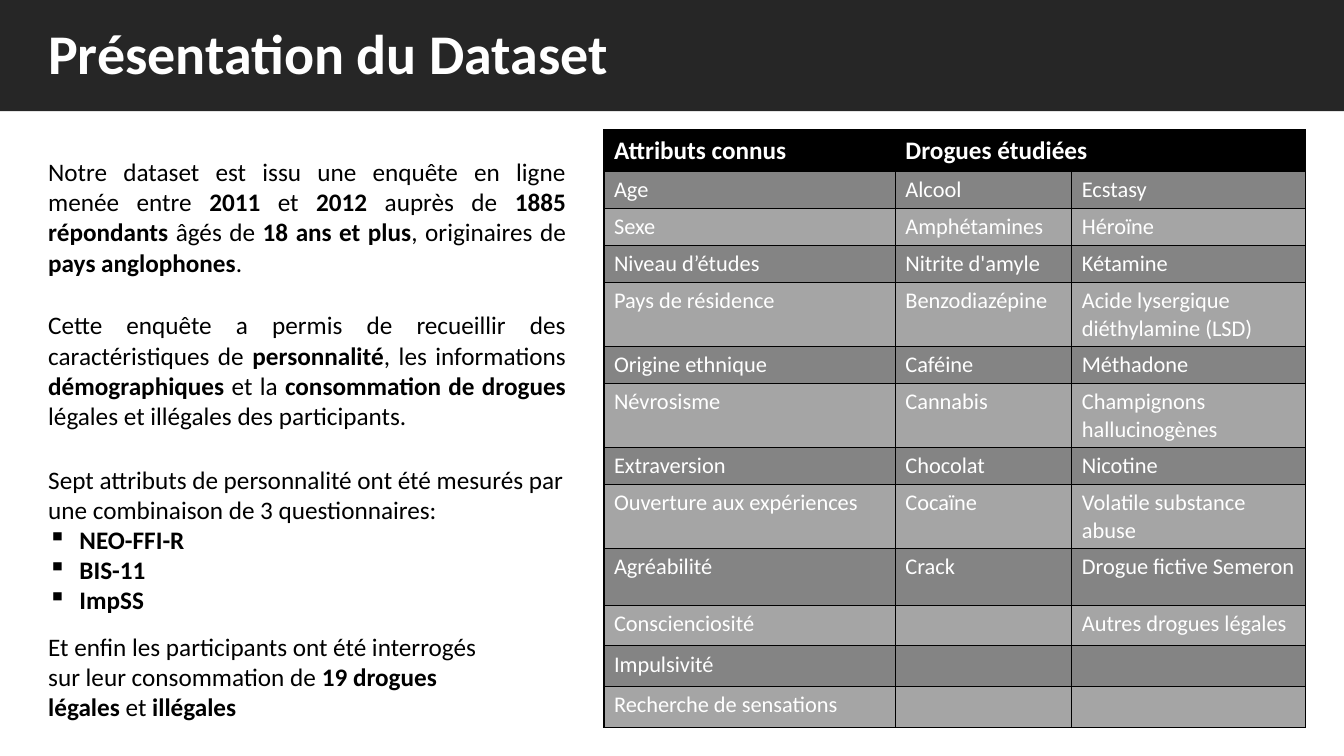
from lxml import etree
from pptx import Presentation
from pptx.dml.color import RGBColor
from pptx.enum.shapes import MSO_SHAPE
from pptx.enum.text import MSO_AUTO_SIZE, PP_ALIGN
from pptx.oxml.ns import qn
from pptx.util import Inches, Pt

RECT = MSO_SHAPE.RECTANGLE
GROW = MSO_AUTO_SIZE.SHAPE_TO_FIT_TEXT
LEFT, JUST = PP_ALIGN.LEFT, PP_ALIGN.JUSTIFY
BLANK = 6
GRID = 100  # columns and rows across the slide
EDGE = 2.85  # left edge of the text, in columns
BLOCK = 40  # width of a text block, in columns
BULLET = "▪"

HEADS = ["Attributs connus", "Drogues étudiées", ""]
ROWS = [
    ["Age", "Alcool", "Ecstasy"],
    ["Sexe", "Amphétamines", "Héroïne"],
    ["Niveau d’études", "Nitrite d'amyle", "Kétamine"],
    ["Pays de résidence", "Benzodiazépine", "Acide lysergique diéthylamine (LSD)"],
    ["Origine ethnique", "Caféine", "Méthadone"],
    ["Névrosisme", "Cannabis", "Champignons hallucinogènes"],
    ["Extraversion", "Chocolat", "Nicotine"],
    ["Ouverture aux expériences", "Cocaïne", "Volatile substance abuse"],
    ["Agréabilité", "Crack", "Drogue fictive Semeron"],
    ["Conscienciosité", "", "Autres drogues légales"],
    ["Impulsivité", "", ""],
    ["Recherche de sensations", "", ""],
]
WIDTHS = [21.68, 13.13, 17.4]
LOW, END, MID, TALL = 4.87, 5.4, 7.55, 8.47
HEIGHTS = [5.47, LOW, LOW, LOW, TALL, LOW, TALL, LOW, TALL, MID, LOW, END, END]

SURVEY = ["Notre dataset est issu une enquête en ligne menée entre *2011* et *2012* "
          "auprès de *1885 répondants* âgés de *18 ans et plus*, originaires de "
          "*pays anglophones*."]
GOAL = ["Cette enquête a permis de recueillir des caractéristiques de *personnalité*, "
        "les informations *démographiques* et la *consommation de drogues *légales "
        "et illégales des participants."]
TRAITS = ["Sept attributs de personnalité ont été mesurés par une combinaison "
          "de 3 questionnaires:",
          BULLET + "*NEO-FFI-R*", BULLET + "*BIS-11*", BULLET + "*ImpSS*"]
DRUGS = ["Et enfin les participants ont été interrogés sur leur consommation de "
         "*19 drogues légales* et *illégales*"]


def color(code):
    return RGBColor.from_string(code)


def paint(thing, code):
    thing.fill.solid()
    thing.fill.fore_color.rgb = color(code)


class Deck:
    font = {"name": "Calibri"}
    dark, ink, white = "262626", "000000", "FFFFFF"
    bands = ["848484", "A5A5A5"]

    def __init__(self):
        self.prs = Presentation()
        self.prs.slide_width = Inches(13.33)
        self.prs.slide_height = Inches(7.5)
        self.slide = self.prs.slides.add_slide(self.prs.slide_layouts[BLANK])

    def col(self, count):
        return round(self.prs.slide_width * count / GRID)

    def row(self, count):
        return round(self.prs.slide_height * count / GRID)

    def place(self, x, y, w, h):
        return self.col(x), self.row(y), self.col(w), self.row(h)

    def band(self, *box):
        shape = self.slide.shapes.add_shape(RECT, *self.place(*box))
        shape.shadow.inherit = False
        shape.line.fill.background()
        paint(shape, self.dark)

    def label(self, para, text, size, code, bold=False):
        """Add runs to a paragraph; text between asterisks is bold."""
        for n, part in enumerate(text.split("*")):
            if not part:
                continue
            run = para.add_run()
            run.text = part
            look = {**self.font, "size": Pt(size), "bold": bold or n % 2 == 1}
            for key, value in look.items():
                setattr(run.font, key, value)
            run.font.color.rgb = color(code)

    def dot(self, para):
        """Give a paragraph a hanging bullet."""
        props = para._p.get_or_add_pPr()
        props.set("marL", str(Inches(0.31)))
        props.set("indent", str(-Inches(0.31)))
        etree.SubElement(props, qn("a:buChar"), char=BULLET)

    def text(self, box, lines, size=18, code=ink, bold=False, align=LEFT):
        frame = self.slide.shapes.add_textbox(*self.place(*box)).text_frame
        for key, value in {"word_wrap": True, "auto_size": GROW}.items():
            setattr(frame, key, value)
        for n, line in enumerate(lines):
            para = frame.add_paragraph() if n else frame.paragraphs[0]
            if line.startswith(BULLET):
                self.dot(para)
            para.alignment = align
            self.label(para, line.lstrip(BULLET), size, code, bold)

    def border(self, cell):
        props = cell._tc.get_or_add_tcPr()
        for side in "LRTB":
            line = etree.SubElement(props, qn(f"a:ln{side}"), w=str(Pt(1)))
            fill = etree.SubElement(line, qn("a:solidFill"))
            etree.SubElement(fill, qn("a:srgbClr"), val=self.ink)

    def table(self, x, y, heads, rows, widths, heights):
        box = self.place(x, y, sum(widths), sum(heights))
        grid = self.slide.shapes.add_table(len(heights), len(widths), *box).table
        for key in ("first_row", "horz_banding"):
            setattr(grid, key, False)
        for column, width in zip(grid.columns, widths):
            column.width = self.col(width)
        for line, height in zip(grid.rows, heights):
            line.height = self.row(height)
        for r, words in enumerate([heads] + rows):
            for c, word in enumerate(words):
                cell = grid.cell(r, c)
                self.border(cell)
                paint(cell, self.bands[(r - 1) % 2] if r else self.ink)
                self.label(cell.text_frame.paragraphs[0], word,
                           16 if r else 18, self.white, bold=r == 0)
        grid.cell(0, 1).merge(grid.cell(0, 2))


def main():
    deck = Deck()
    deck.band(0, 0, GRID, 14.7)
    deck.text((EDGE, 1.73, 46, 10.3), ["Présentation du Dataset"],
              size=40, code=deck.white, bold=True)
    deck.text((EDGE, 20, BLOCK, 17.5), SURVEY, align=JUST)
    deck.text((EDGE, 40.3, BLOCK, 17.5), GOAL, align=JUST)
    deck.text((EDGE, 60.7, BLOCK, 21.6), TRAITS)
    deck.table(44.94, 17.2, HEADS, ROWS, WIDTHS, HEIGHTS)
    deck.text((EDGE, 82.8, 33.6, 13.5), DRUGS)
    deck.prs.save("out.pptx")


if __name__ == "__main__":
    main()
